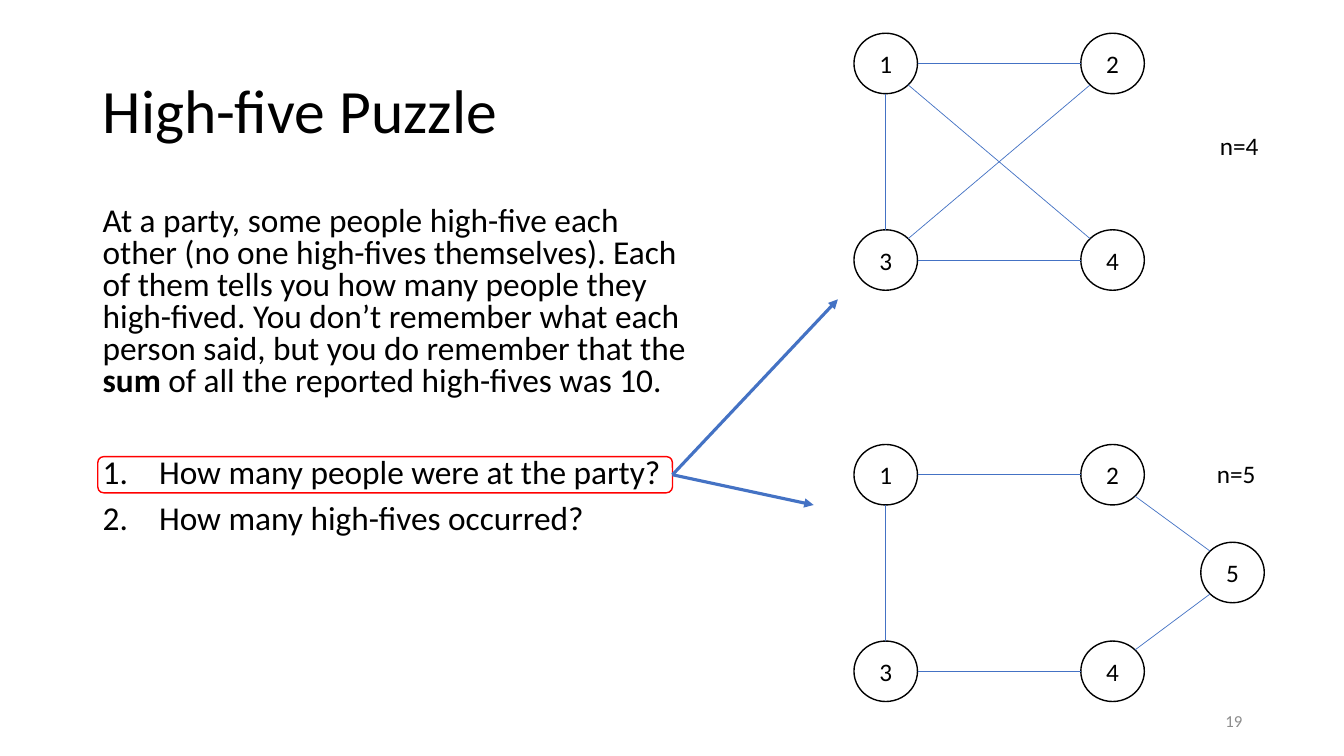
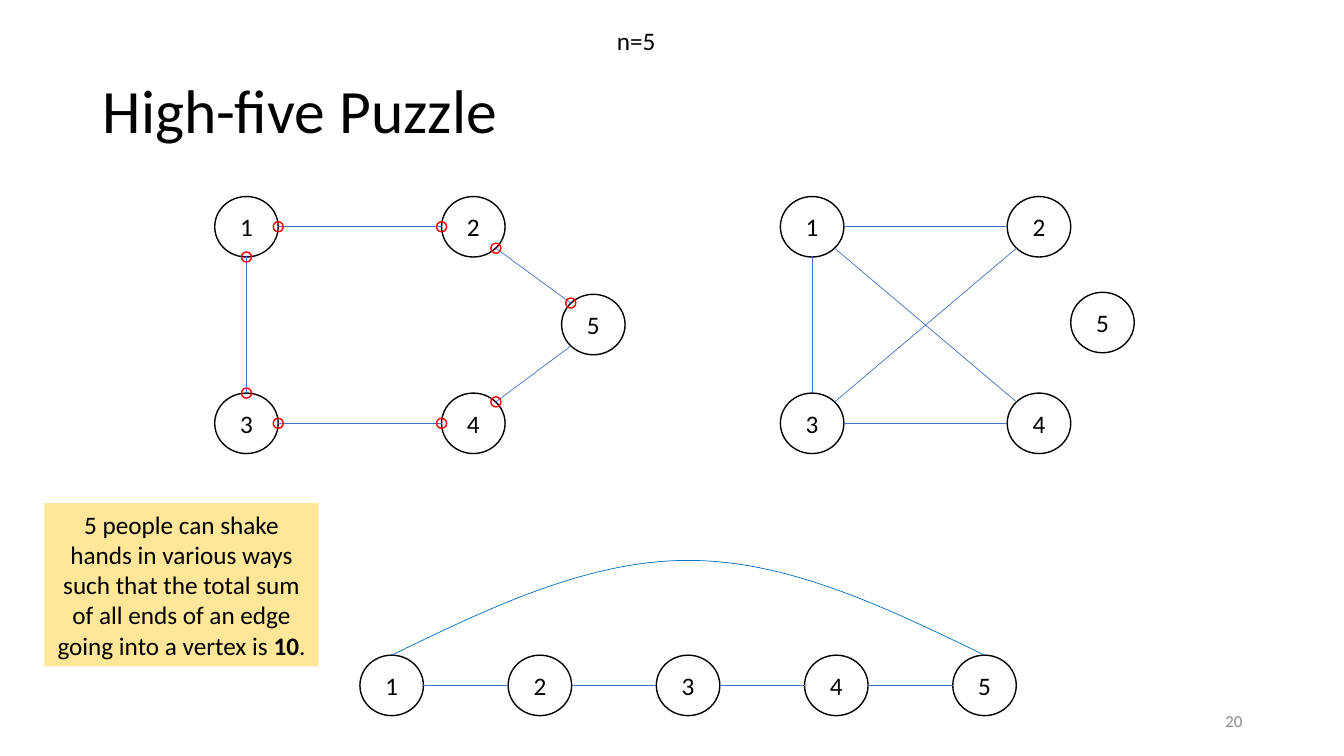
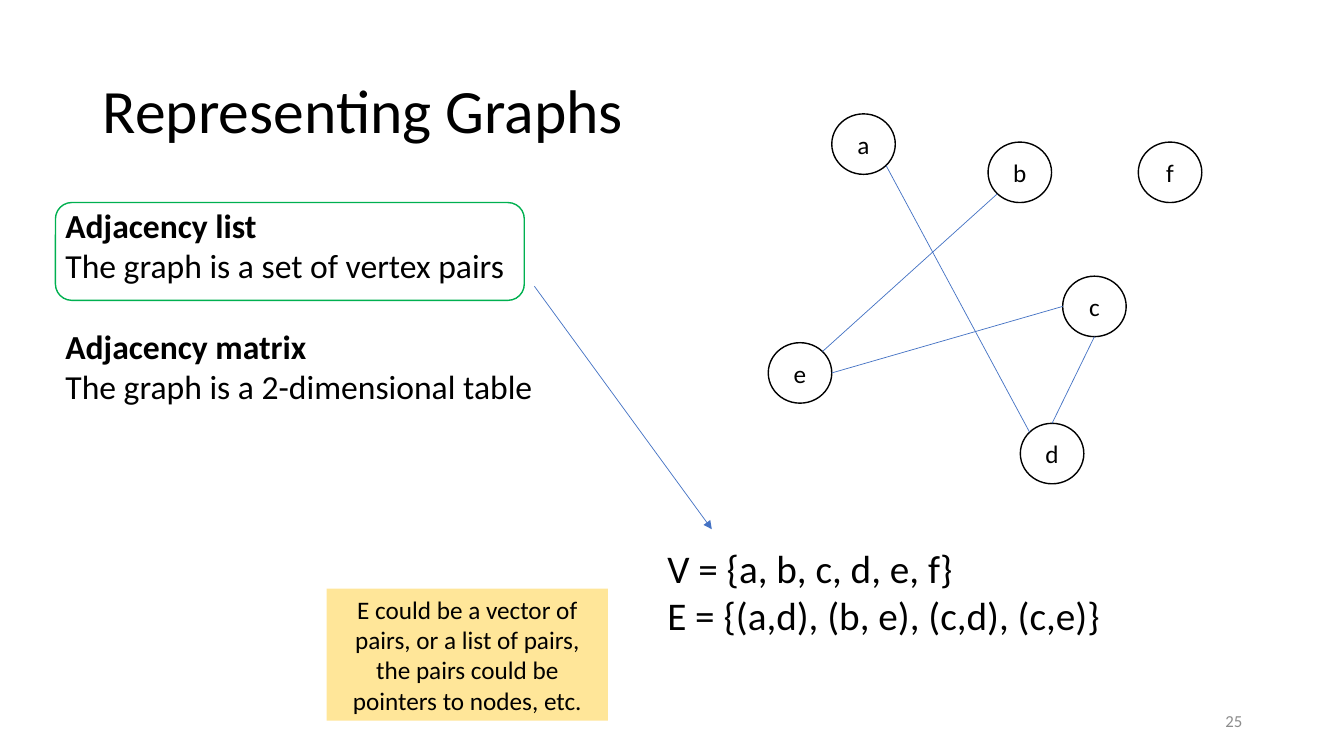
from lxml import etree
from pptx import Presentation
from pptx.dml.color import RGBColor
from pptx.enum import shapes, text
from pptx.oxml import ns
from pptx.util import Inches, Pt

BLACK = RGBColor(0x00, 0x00, 0x00)
WHITE = RGBColor(0xFF, 0xFF, 0xFF)
GREY = RGBColor(0x8C, 0x8C, 0x8C)
BLUE = RGBColor(0x44, 0x72, 0xC4)
ARC_BLUE = RGBColor(0x00, 0x70, 0xC0)
RED = RGBColor(0xFF, 0x00, 0x00)
GREEN = RGBColor(0x00, 0xB0, 0x50)
YELLOW = RGBColor(0xFF, 0xE6, 0x99)

FONT = "Calibri"
NODE_W, NODE_H = 0.63, 0.6
RING = 0.1
DIAGONAL = 0.71
COMPASS = {
    "N": (0, -1), "E": (1, 0), "S": (0, 1), "W": (-1, 0),
    "NE": (DIAGONAL, -DIAGONAL), "SE": (DIAGONAL, DIAGONAL),
    "SW": (-DIAGONAL, DIAGONAL), "NW": (-DIAGONAL, -DIAGONAL),
}

SQUARE = {"1": (0, 0), "2": (2.25, 0), "3": (0, 1.95), "4": (2.25, 1.95)}
PENTAGON = SQUARE | {"5": (3.44, 0.97)}
SQUARE_WITH_LONER = SQUARE | {"5": (2.88, 0.95)}
CHAIN = {str(i + 1): (1.47 * i, 0) for i in range(5)}
LETTERS = {"a": (0.63, 0), "b": (2.18, 0.28), "c": (2.92, 1.61),
           "d": (2.5, 3.07), "e": (0, 2.27), "f": (3.67, 0.28)}

THREE_SIDES = [("1E", "2W"), ("3E", "4W"), ("1S", "3N")]
CROSSED = THREE_SIDES + [("3NE", "2SW"), ("1SE", "4NW")]
RING_OF_FIVE = THREE_SIDES + [("2SE", "5NW"), ("4NE", "5SW")]
CHAIN_LINKS = [(f"{i}E", f"{i + 1}W") for i in range(1, 5)]
LETTER_EDGES = [("cS", "dN"), ("aSE", "dNW"), ("eE", "cW"), ("bSW", "eNE")]


def write(frame, lines, size, align=text.PP_ALIGN.LEFT, color=BLACK, spacing=None):
    for index, line in enumerate(lines):
        paragraph = frame.paragraphs[0] if index == 0 else frame.add_paragraph()
        paragraph.alignment = align
        paragraph.line_spacing = spacing
        paragraph.font.name = FONT
        paragraph.font.size = Pt(size)
        paragraph.font.color.rgb = color
        for part, words in enumerate(line.split("**")):
            if words:
                run = paragraph.add_run()
                run.text = words
                if part % 2:
                    run.font.bold = True
    return frame.paragraphs


def add_text(slide, box, lines, size, wrap=True, **style):
    frame = slide.shapes.add_textbox(*map(Inches, box)).text_frame
    frame.word_wrap = wrap
    if not wrap:
        frame.auto_size = text.MSO_AUTO_SIZE.SHAPE_TO_FIT_TEXT
    write(frame, lines, size, **style)
    return frame


def number(paragraph):
    properties = paragraph._p.get_or_add_pPr()
    properties.set("marL", str(Inches(0.56)))
    properties.set("indent", str(Inches(-0.56)))
    numbering = etree.Element(ns.qn("a:buAutoNum"), type="arabicPeriod")
    properties.find(ns.qn("a:defRPr")).addprevious(numbering)


def add_outline(slide, kind, box, color):
    outline = slide.shapes.add_shape(kind, *map(Inches, box))
    outline.shadow.inherit = False
    outline.fill.background()
    outline.line.color.rgb = color
    outline.line.width = Pt(1)
    return outline


def add_line(slide, start, finish, width=0.5, arrow=False):
    line = slide.shapes.add_connector(
        shapes.MSO_CONNECTOR.STRAIGHT, *map(Inches, (*start, *finish)))
    line.line.color.rgb = BLUE
    line.line.width = Pt(width)
    properties = line._element.spPr
    if arrow:
        etree.SubElement(properties.find(ns.qn("a:ln")), ns.qn("a:tailEnd"), type="triangle")
    etree.SubElement(properties, ns.qn("a:effectLst"))
    return line


def add_callout(slide, box, words):
    callout = slide.shapes.add_shape(shapes.MSO_SHAPE.RECTANGLE, *map(Inches, box))
    callout.shadow.inherit = False
    callout.fill.solid()
    callout.fill.fore_color.rgb = YELLOW
    callout.line.fill.background()
    callout.text_frame.word_wrap = True
    write(callout.text_frame, [words], 18, text.PP_ALIGN.CENTER)


def add_graph(slide, left, top, nodes, edges):
    for name, (dx, dy) in nodes.items():
        node = add_outline(slide, shapes.MSO_SHAPE.OVAL,
                           (left + dx, top + dy, NODE_W, NODE_H), BLACK)
        frame = node.text_frame
        frame.margin_left = frame.margin_right = frame.margin_top = frame.margin_bottom = 0
        frame.vertical_anchor = text.MSO_ANCHOR.MIDDLE
        write(frame, [name], 18, text.PP_ALIGN.CENTER)

    def edge_end(key):
        dx, dy = nodes[key[0]]
        across, down = COMPASS[key[1:]]
        return (left + dx + NODE_W / 2 * (1 + across), top + dy + NODE_H / 2 * (1 + down))

    ends = {key: edge_end(key) for edge in edges for key in edge}
    for start, finish in edges:
        add_line(slide, ends[start], ends[finish])
    return ends


def add_arc(slide, left, base, width, rise):
    half, steps = width / 2, 30
    rising = []
    for step in range(steps + 1):
        t = step / steps
        x = half * (3 * t * (1 - t) ** 2 * 0.33 + 3 * t ** 2 * (1 - t) * 0.66 + t ** 3)
        y = rise * (3 * t * (1 - t) ** 2 * 0.5 + 3 * t ** 2 * (1 - t) + t ** 3)
        rising.append((x, y))
    falling = [(width - x, y) for x, y in reversed(rising[:-1])]
    points = [(Inches(left + x), Inches(base - y)) for x, y in rising + falling]
    builder = slide.shapes.build_freeform(*points[0])
    builder.add_line_segments(points[1:], close=False)
    arc = builder.convert_to_shape()
    arc.shadow.inherit = False
    arc.fill.background()
    arc.line.color.rgb = ARC_BLUE
    arc.line.width = Pt(0.5)


def new_slide(deck, heading, page):
    slide = deck.slides.add_slide(deck.slide_layouts[5])
    slide.background.fill.solid()
    slide.background.fill.fore_color.rgb = WHITE
    title = slide.shapes.title
    title.left, title.top, title.width, title.height = map(Inches, (0.92, 0.4, 6.52, 1.45))
    title.text_frame.vertical_anchor = text.MSO_ANCHOR.MIDDLE
    title.text_frame.auto_size = text.MSO_AUTO_SIZE.NONE
    write(title.text_frame, [heading], 44, spacing=0.9)
    footer = add_text(slide, (9.42, 6.95, 3, 0.4), [page], 12,
                      align=text.PP_ALIGN.RIGHT, color=GREY)
    footer.vertical_anchor = text.MSO_ANCHOR.MIDDLE
    return slide


def puzzle_slide(deck):
    slide = new_slide(deck, "High-five Puzzle", "19")
    puzzle = add_text(slide, (0.92, 2, 6.06, 3.82), [
        "At a party, some people high-five each other (no one high-fives themselves). "
        "Each of them tells you how many people they high-fived. You don’t remember what "
        "each person said, but you do remember that the **sum** of all the reported "
        "high-fives was 10.",
        "How many people were at the party?",
        "How many high-fives occurred?",
    ], 23.8, spacing=0.8)
    for paragraph, gap in zip(puzzle.paragraphs, (10, 43, 10)):
        paragraph.space_before = Pt(gap)
    for question in puzzle.paragraphs[1:]:
        number(question)

    add_graph(slide, 8.47, 0.33, SQUARE, CROSSED)
    add_graph(slide, 8.47, 4.41, PENTAGON, RING_OF_FIVE)
    add_text(slide, (12, 1.24, 0.59, 0.4), ["n=4"], 18, wrap=False)
    add_text(slide, (11.97, 4.5, 0.59, 0.4), ["n=5"], 18, wrap=False)

    highlight = add_outline(slide, shapes.MSO_SHAPE.ROUNDED_RECTANGLE,
                            (0.97, 4.53, 5.7, 0.36), RED)
    for target in ((8.31, 2.97), (8.07, 5.01)):
        add_line(slide, (6.67, 4.71), target, 2.25, arrow=True).begin_connect(highlight, 3)


def five_people_slide(deck):
    slide = new_slide(deck, "High-five Puzzle", "20")
    add_text(slide, (6.02, 0.2, 0.59, 0.4), ["n=5"], 18, wrap=False)
    ends = add_graph(slide, 2.13, 1.95, PENTAGON, RING_OF_FIVE)
    for key, (x, y) in ends.items():
        if key != "5SW":
            add_outline(slide, shapes.MSO_SHAPE.OVAL,
                        (x - RING / 2, y - RING / 2, RING, RING), RED)
    add_graph(slide, 7.74, 1.95, SQUARE_WITH_LONER, CROSSED)
    add_graph(slide, 3.57, 6.5, CHAIN, CHAIN_LINKS)
    add_arc(slide, 3.57 + NODE_W / 2, 6.5, CHAIN["5"][0], 0.94)
    add_callout(slide, (0.44, 4.99, 2.72, 1.62),
                "5 people can shake hands in various ways such that the total sum of all "
                "ends of an edge going into a vertex is **10**.")


def representation_slide(deck):
    slide = new_slide(deck, "Representing Graphs", "25")
    choices = add_text(slide, (0.55, 1.98, 4.88, 2.12), [
        "**Adjacency list**", "The graph is a set of vertex pairs",
        "**Adjacency matrix**", "The graph is a 2-dimensional table",
    ], 24, wrap=False)
    choices.paragraphs[2].space_before = Pt(29)
    add_outline(slide, shapes.MSO_SHAPE.ROUNDED_RECTANGLE, (0.55, 2.01, 4.65, 0.97), GREEN)
    add_graph(slide, 7.62, 1.13, LETTERS, LETTER_EDGES)
    add_text(slide, (6.52, 5.35, 4.54, 1.04),
             ["V = {a, b, c, d, e, f}", "E = {(a,d), (b, e), (c,d), (c,e)}"], 28, wrap=False)
    add_line(slide, (5.3, 2.84), (7.06, 5.25), arrow=True)
    add_callout(slide, (3.24, 5.84, 2.79, 1.31),
                "E could be a vector of pairs, or a list of pairs, the pairs could be "
                "pointers to nodes, etc.")


def main():
    deck = Presentation()
    deck.slide_width, deck.slide_height = Inches(13.33), Inches(7.5)
    puzzle_slide(deck)
    five_people_slide(deck)
    representation_slide(deck)
    deck.save("out.pptx")


if __name__ == "__main__":
    main()
